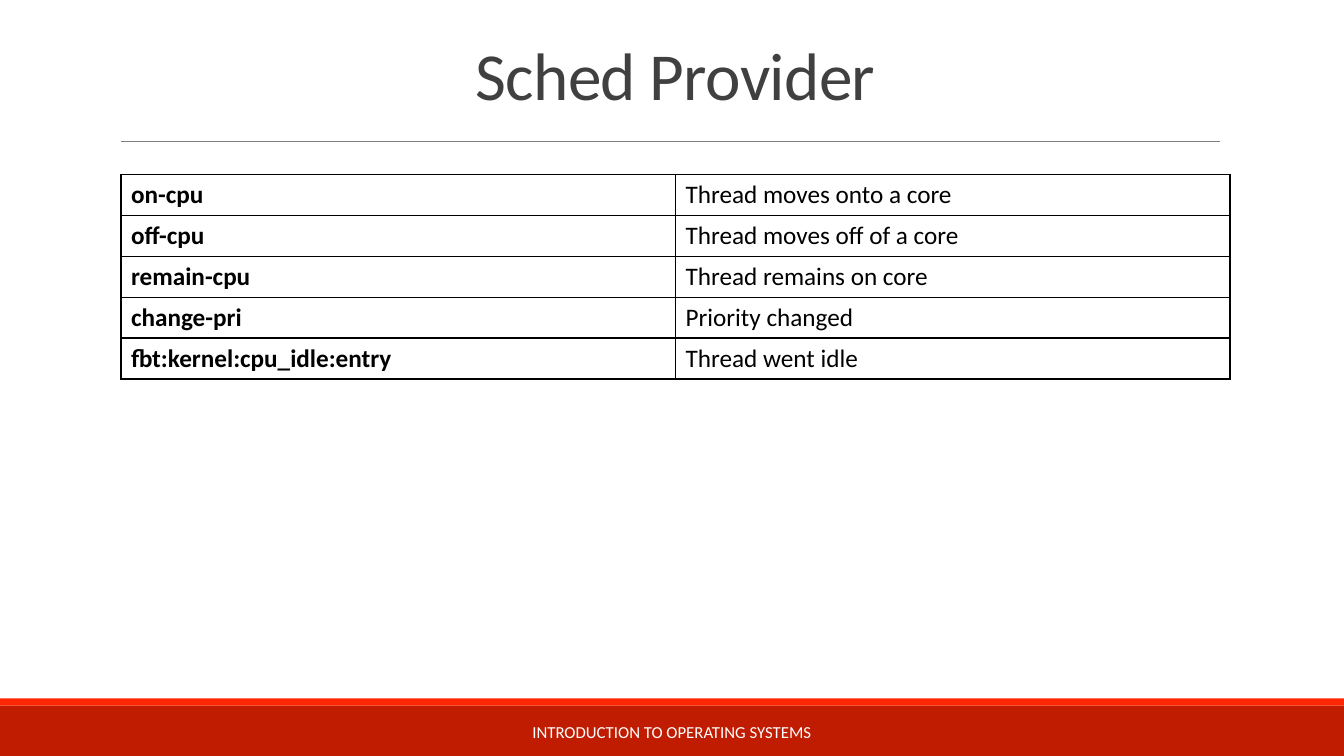
from dataclasses import dataclass
from typing import Any

import pptx
import pptx.dml.color
import pptx.enum.shapes
import pptx.enum.text
import pptx.oxml
import pptx.oxml.ns
import pptx.util
from pptx.util import Inches


@dataclass(frozen=True)
class Theme:
    font: str = "Calibri"
    title_color: str = "404040"
    text_color: str = "000000"
    footer_color: str = "FFFFFF"
    rule_color: str = "808080"
    band_color: str = "C01C01"
    stripe_color: str = "FF2602"
    title_size: int = 48
    table_size: int = 18
    footer_size: int = 12


@dataclass(frozen=True)
class Box:
    left: float
    top: float
    width: float
    height: float

    def lengths(self) -> tuple:
        return tuple(Inches(n) for n in (self.left, self.top, self.width, self.height))


@dataclass(frozen=True)
class Band:
    box: Box
    color: str


@dataclass(frozen=True)
class Probe:
    name: str
    meaning: str


THEME = Theme()
WIDTH, HEIGHT = 13.33, 7.5
TITLE = Box(1.2, 0.31, 11, 0.96)
TABLE = Box(1.2, 1.73, 11, 2.03)
FOOTER = Box(4.03, 7.06, 5.27, 0.4)
BANDS = [
    Band(Box(0, 7, WIDTH, 0.5), THEME.band_color),
    Band(Box(0, 6.93, WIDTH, 0.07), THEME.stripe_color),
]
PROBES = [
    Probe("on-cpu", "Thread moves onto a core"),
    Probe("off-cpu", "Thread moves off of a core"),
    Probe("remain-cpu", "Thread remains on core"),
    Probe("change-pri", "Priority changed"),
    Probe("fbt:kernel:cpu_idle:entry", "Thread went idle"),
]


def rgb(color: str) -> pptx.dml.color.RGBColor:
    return pptx.dml.color.RGBColor.from_string(color)


def style(para: Any, size: int, color: str, bold: bool = False) -> None:
    para.font.name = THEME.font
    para.font.size = pptx.util.Pt(size)
    para.font.bold = bold
    para.font.color.rgb = rgb(color)


def centre_text(shape: Any, text: str, size: int, color: str) -> Any:
    frame = shape.text_frame
    frame.text = text
    frame.word_wrap = True
    frame.auto_size = pptx.enum.text.MSO_AUTO_SIZE.NONE
    frame.vertical_anchor = pptx.enum.text.MSO_ANCHOR.MIDDLE
    para = frame.paragraphs[0]
    para.alignment = pptx.enum.text.PP_ALIGN.CENTER
    style(para, size, color)
    return para


def add_band(page: Any, band: Band) -> None:
    shape = page.shapes.add_shape(
        pptx.enum.shapes.MSO_SHAPE.RECTANGLE, *band.box.lengths())
    shape.shadow.inherit = False
    shape.fill.solid()
    shape.fill.fore_color.rgb = rgb(band.color)
    shape.line.fill.background()


def add_rule(page: Any) -> None:
    rule = page.shapes.add_connector(
        pptx.enum.shapes.MSO_CONNECTOR.STRAIGHT,
        Inches(1.2), Inches(1.4), Inches(12.1), Inches(1.4))
    rule.line.color.rgb = rgb(THEME.rule_color)
    rule.line.width = pptx.util.Pt(0.5)
    rule._element.spPr.append(pptx.oxml.parse_xml(
        f"<a:effectLst {pptx.oxml.ns.nsdecls('a')}/>"))


def add_title(page: Any, text: str) -> None:
    title = page.shapes.title
    title.left, title.top, title.width, title.height = TITLE.lengths()
    para = centre_text(title, text, THEME.title_size, THEME.title_color)
    para.line_spacing = 0.85
    para.runs[0]._r.get_or_add_rPr().set("spc", "-50")


def border_cell(cell: Any) -> None:
    properties = cell._tc.get_or_add_tcPr()
    for position, side in enumerate(("lnL", "lnR", "lnT", "lnB")):
        properties.insert(position, pptx.oxml.parse_xml(
            f'<a:{side} {pptx.oxml.ns.nsdecls("a")} w="12700"><a:solidFill>'
            f'<a:srgbClr val="{THEME.text_color}"/></a:solidFill></a:{side}>'))


def add_probe_table(page: Any, probes: list[Probe]) -> None:
    table = page.shapes.add_table(len(probes), 2, *TABLE.lengths()).table
    table.first_row = False
    table.horz_banding = False
    for row, probe in enumerate(probes):
        for column, text in enumerate((probe.name, probe.meaning)):
            cell = table.cell(row, column)
            cell.text = text
            cell.fill.background()
            style(cell.text_frame.paragraphs[0], THEME.table_size,
                  THEME.text_color, bold=column == 0)
            border_cell(cell)


def main() -> None:
    deck = pptx.Presentation()
    deck.slide_width, deck.slide_height = Inches(WIDTH), Inches(HEIGHT)
    page = deck.slides.add_slide(deck.slide_layouts[5])

    # Footer bands and title rule
    for band in BANDS:
        add_band(page, band)
    add_rule(page)

    # Title and table
    add_title(page, "Sched Provider")
    add_probe_table(page, PROBES)

    # Footer text
    footer = page.shapes.add_textbox(*FOOTER.lengths())
    centre_text(footer, "INTRODUCTION TO OPERATING SYSTEMS",
                THEME.footer_size, THEME.footer_color)

    deck.save("out.pptx")


if __name__ == "__main__":
    main()
